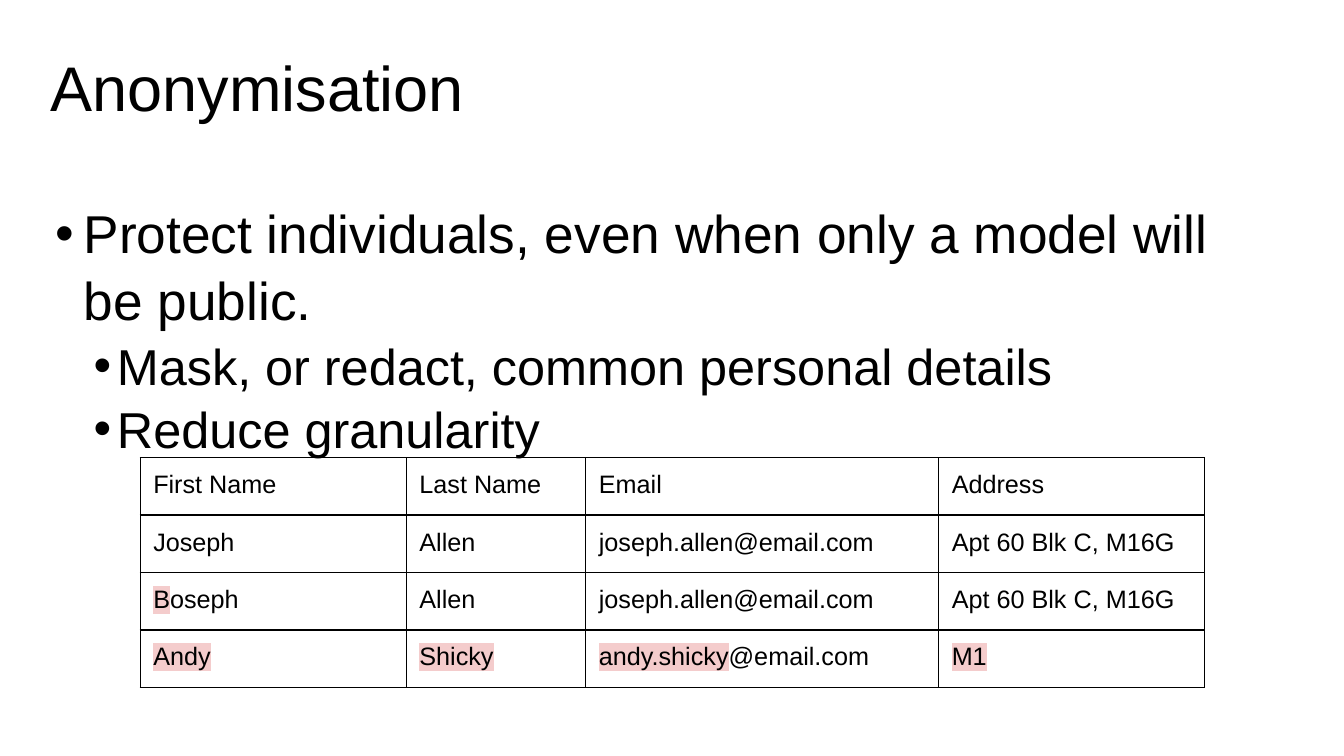
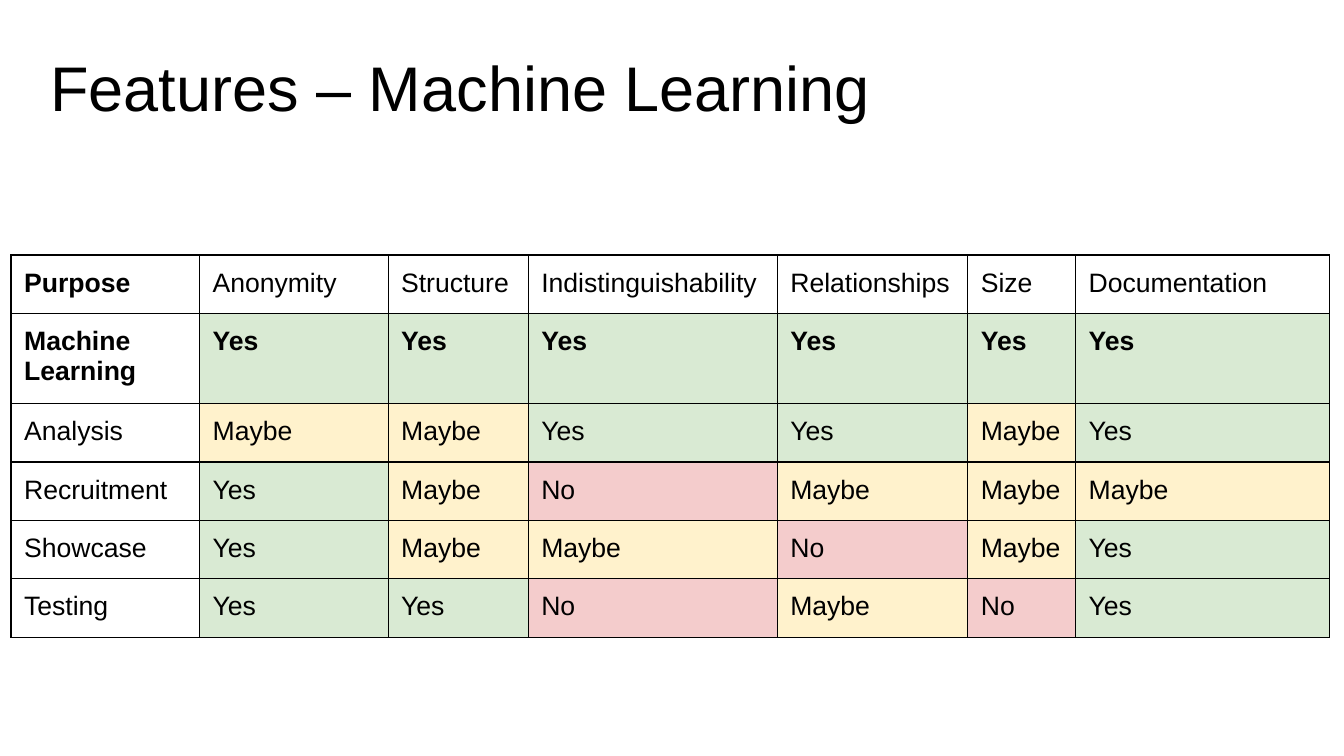
"""Build two slides on anonymisation and on the features that each purpose needs."""
from dataclasses import dataclass

from lxml import etree
from pptx import Presentation
from pptx.dml.color import RGBColor
from pptx.oxml import parse_xml
from pptx.oxml.ns import nsdecls, qn
from pptx.util import Inches, Pt


@dataclass(frozen=True)
class Theme:
    font: str = "Arial"
    ink: str = "000000"
    yes: str = "D9EAD3"
    maybe: str = "FFF2CC"
    no: str = "F4CCCC"
    title_size: int = 45
    body_size: int = 38
    detail_size: int = 36
    records_size: int = 18
    features_size: int = 19
    border: int = 1
    inset: float = 0.13


THEME = Theme()
ANSWER_FILLS = {"Yes": THEME.yes, "Maybe": THEME.maybe, "No": THEME.no}


def add_span(para, text, size, bold=False, highlight=None):
    span = para.add_run()
    span.text = text
    span.font.size = Pt(size)
    span.font.bold = bold
    span.font.color.rgb = RGBColor.from_string(THEME.ink)
    if highlight:
        marker = etree.SubElement(span.font._element, qn("a:highlight"))
        etree.SubElement(marker, qn("a:srgbClr"), val=highlight)
    span.font.name = THEME.font


def add_grid(page, left, top, widths, heights, rows, size, bold_cells=()):
    """Add a bordered table; a tuple cell holds a highlighted part and the rest."""
    frame = page.shapes.add_table(
        len(rows), len(widths), Inches(left), Inches(top),
        Inches(sum(widths)), Inches(sum(heights)),
    )
    table = frame.table
    table.first_row = table.horz_banding = False
    for column, width in zip(table.columns, widths):
        column.width = Inches(width)
    for row_index, (row, height) in enumerate(zip(rows, heights)):
        table.rows[row_index].height = Inches(height)
        for column_index, content in enumerate(row):
            cell = table.cell(row_index, column_index)
            cell.margin_left = cell.margin_right = Inches(THEME.inset)
            cell.margin_top = cell.margin_bottom = Inches(THEME.inset)
            properties = cell._tc.get_or_add_tcPr()
            for side in ("lnL", "lnR", "lnT", "lnB"):
                properties.append(parse_xml(
                    f'<a:{side} {nsdecls("a")} w="{Pt(THEME.border)}"><a:solidFill>'
                    f'<a:srgbClr val="{THEME.ink}"/></a:solidFill></a:{side}>'
                ))
            marked, plain = content if isinstance(content, tuple) else ("", content)
            if plain in ANSWER_FILLS:
                cell.fill.solid()
                cell.fill.fore_color.rgb = RGBColor.from_string(ANSWER_FILLS[plain])
            else:
                cell.fill.background()
            para = cell.text_frame.paragraphs[0]
            bold = (row_index, column_index) in bold_cells
            for text, highlight in ((marked, THEME.no), (plain, None)):
                if text:
                    add_span(para, text, size, bold, highlight)


deck = Presentation()
deck.slide_width = Inches(13.33)
deck.slide_height = Inches(7.5)
pages = []
for title in ("Anonymisation", "Features – Machine Learning"):
    page = deck.slides.add_slide(deck.slide_layouts[6])
    box = page.shapes.add_textbox(Inches(0.37), Inches(0.29), Inches(12), Inches(1.25))
    frame = box.text_frame
    frame.word_wrap = True
    frame.margin_left = frame.margin_right = frame.margin_bottom = Inches(THEME.inset)
    frame.margin_top = Inches(0.19)
    add_span(frame.paragraphs[0], title, THEME.title_size)
    pages.append(page)
anonymisation_page, features_page = pages

box = anonymisation_page.shapes.add_textbox(
    Inches(0.42), Inches(1.8), Inches(12), Inches(5.62)
)
frame = box.text_frame
frame.word_wrap = True
frame.margin_left = frame.margin_right = frame.margin_bottom = Inches(THEME.inset)
frame.margin_top = Inches(0.16)
bullets = [
    ("Protect individuals, even when only a model will be public.",
     0, 0.28, 0.28, THEME.body_size),
    ("Mask, or redact, common personal details", 1, 0.61, 0.23, THEME.detail_size),
    ("Reduce granularity", 1, 0.61, 0.23, THEME.detail_size),
]
for index, (text, level, margin, hanging, size) in enumerate(bullets):
    para = frame.add_paragraph() if index else frame.paragraphs[0]
    para.level = level
    para.line_spacing = 1.05
    properties = para._p.get_or_add_pPr()
    properties.set("marL", str(Inches(margin)))
    properties.set("indent", str(-Inches(hanging)))
    etree.SubElement(properties, qn("a:buFont"), typeface=THEME.font)
    etree.SubElement(properties, qn("a:buChar"), char="•")
    add_span(para, text, size)

records = [
    ["First Name", "Last Name", "Email", "Address"],
    ["Joseph", "Allen", "joseph.allen@email.com", "Apt 60 Blk C, M16G"],
    [("B", "oseph"), "Allen", "joseph.allen@email.com", "Apt 60 Blk C, M16G"],
    [("Andy", ""), ("Shicky", ""), ("andy.shicky", "@email.com"), ("M1", "")],
]
add_grid(
    anonymisation_page, 1.39, 4.54, [2.64, 1.78, 3.5, 2.64],
    [0.57] * len(records), records, THEME.records_size,
)

features = [
    ["Purpose", "Anonymity", "Structure", "Indistinguishability",
     "Relationships", "Size", "Documentation"],
    ["Machine Learning"] + ["Yes"] * 6,
    ["Analysis", "Maybe", "Maybe", "Yes", "Yes", "Maybe", "Yes"],
    ["Recruitment", "Yes", "Maybe", "No", "Maybe", "Maybe", "Maybe"],
    ["Showcase", "Yes", "Maybe", "Maybe", "No", "Maybe", "Yes"],
    ["Testing", "Yes", "Yes", "No", "Maybe", "No", "Yes"],
]
bold_cells = {(0, 0)} | {(1, column) for column in range(len(features[0]))}
add_grid(
    features_page, 0.11, 2.53, [1.87, 1.87, 1.39, 2.47, 1.89, 1.07, 2.52],
    [0.58, 0.89] + [0.58] * 4, features, THEME.features_size, bold_cells,
)

deck.save("out.pptx")
